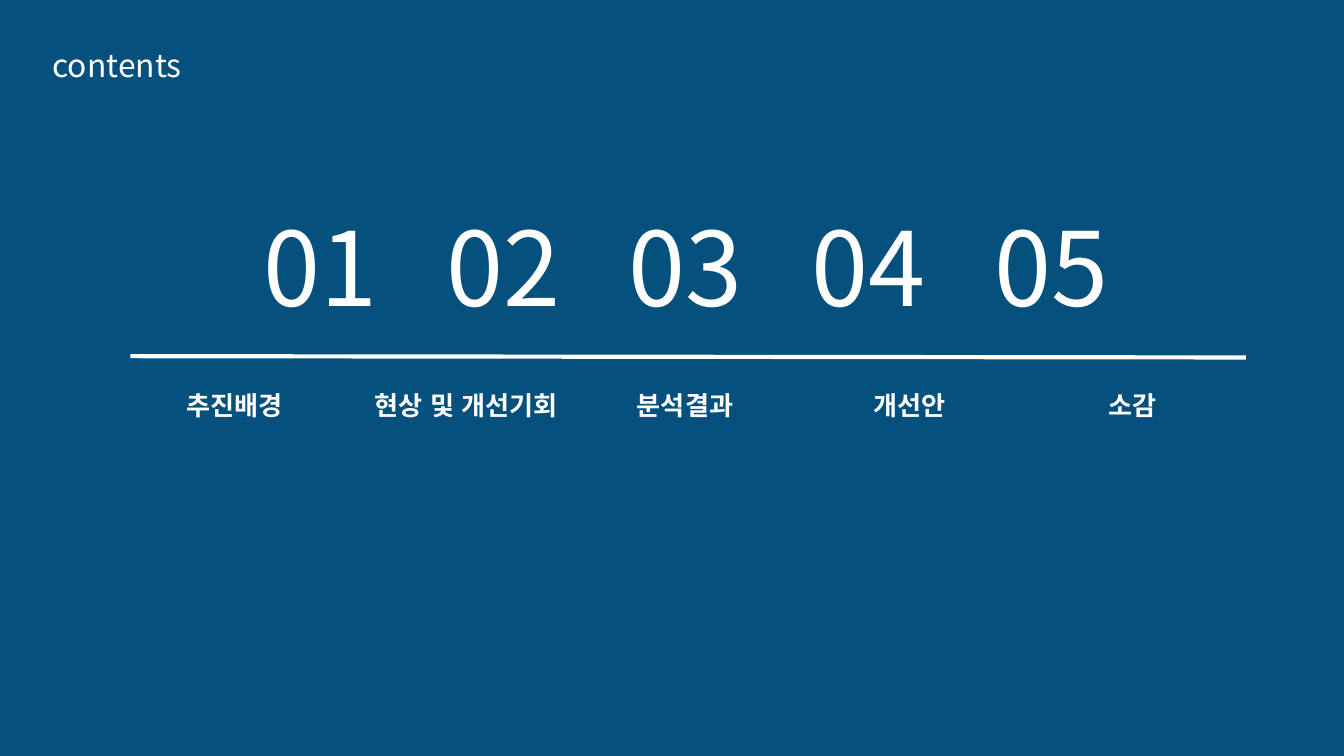
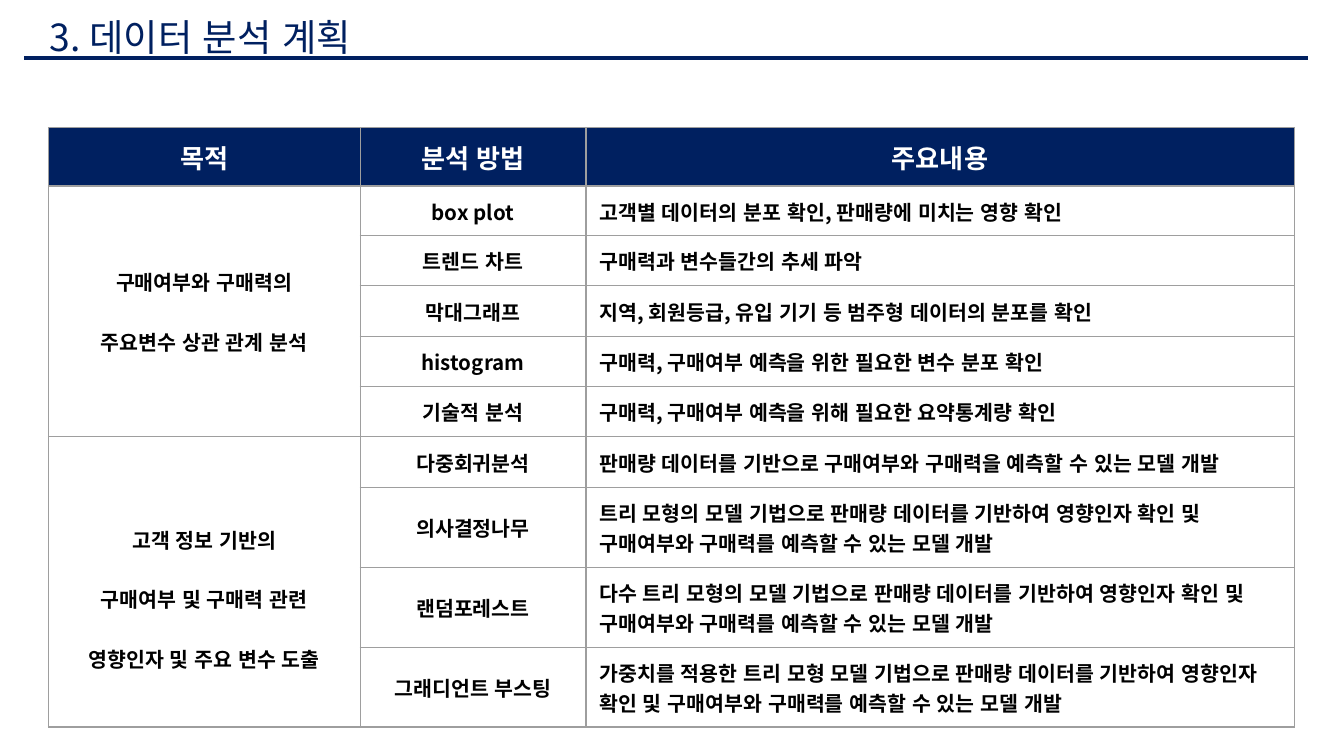
from lxml.etree import SubElement
from pptx import Presentation
from pptx.dml.color import RGBColor
from pptx.enum.lang import MSO_LANGUAGE_ID
from pptx.enum.shapes import MSO_CONNECTOR, MSO_SHAPE
from pptx.enum.text import MSO_ANCHOR, MSO_AUTO_SIZE, PP_ALIGN
from pptx.oxml.ns import qn
from pptx.util import Inches, Pt

FONT = "Noto Sans CJK KR"
COLORS = {
    "white": "FFFFFF",
    "black": "000000",
    "blue": "05507D",
    "navy": "002060",
    "grid": "9E9E9E",
}
TITLE_ONLY = 5

# left, width, text, alignment
SECTIONS = [
    (1.29, 1.04, "추진배경", PP_ALIGN.LEFT),
    (2.69, 1.73, "현상 및 개선기회", PP_ALIGN.LEFT),
    (4.64, 1.19, "분석결과", PP_ALIGN.LEFT),
    (6.4, 0.85, "개선안", PP_ALIGN.LEFT),
    (7.91, 1.04, "소감", PP_ALIGN.CENTER),
]
NUMBER_PITCH = 1.36

HEADERS = ["목적", "분석 방법", "주요내용"]
COLUMN_WIDTHS = [2.32, 1.68, 5.27]
ROW_HEIGHTS = [0.42, 0.36, 0.36, 0.38, 0.35, 0.35, 0.38, 0.36, 0.36, 0.36]
CELL_PADDING = Pt(5.4)
# purpose, extra space above it, methods with their description
PLAN = [
    ("구매여부와 구매력의\n주요변수 상관 관계 분석", 0, [
        ("box plot", "고객별 데이터의 분포 확인, 판매량에 미치는 영향 확인"),
        ("트렌드 차트", "구매력과 변수들간의 추세 파악"),
        ("막대그래프", "지역, 회원등급, 유입 기기 등 범주형 데이터의 분포를 확인"),
        ("histogram", "구매력, 구매여부 예측을 위한 필요한 변수 분포 확인"),
        ("기술적 분석", "구매력, 구매여부 예측을 위해 필요한 요약통계량 확인"),
    ]),
    ("고객 정보 기반의\n구매여부 및 구매력 관련\n영향인자 및 주요 변수 도출", 0.25, [
        ("다중회귀분석",
         "판매량 데이터를 기반으로 구매여부와 구매력을 예측할 수 있는 모델 개발"),
        ("의사결정나무",
         "트리 모형의 모델 기법으로 판매량 데이터를 기반하여 영향인자 확인 및 "
         "구매여부와 구매력를 예측할 수 있는 모델 개발"),
        ("랜덤포레스트",
         "다수 트리 모형의 모델 기법으로 판매량 데이터를 기반하여 영향인자 확인 및 "
         "구매여부와 구매력를 예측할 수 있는 모델 개발"),
        ("그래디언트 부스팅",
         "가중치를 적용한 트리 모형 모델 기법으로 판매량 데이터를 기반하여 영향인자 확인 및 "
         "구매여부와 구매력를 예측할 수 있는 모델 개발"),
    ]),
]


def rgb(name):
    return RGBColor.from_string(COLORS[name])


def write(text_frame, text, size, color, bold=False, align=PP_ALIGN.LEFT, gap=0):
    """Set the text; gap is the space in points between paragraphs."""
    text_frame.text = text
    for index, paragraph in enumerate(text_frame.paragraphs):
        paragraph.alignment = align
        if index and gap:
            paragraph.space_before = Pt(gap)
        for run in paragraph.runs:
            run.font.size = Pt(size)
            run.font.bold = bold
            run.font.name = FONT
            run.font.language_id = MSO_LANGUAGE_ID.KOREAN
            run.font.color.rgb = rgb(color)
            for script in ("ea", "cs"):
                SubElement(run.font._element, qn(f"a:{script}"), typeface=FONT)


def set_frame(text_frame, anchor=MSO_ANCHOR.TOP, vertical_inset=0.1):
    text_frame.word_wrap = True
    text_frame.auto_size = MSO_AUTO_SIZE.NONE
    text_frame.vertical_anchor = anchor
    text_frame.margin_left = text_frame.margin_right = Inches(0.1)
    text_frame.margin_top = text_frame.margin_bottom = Inches(vertical_inset)


def set_title(slide, box, text, size, color, **frame_options):
    title = slide.shapes.title
    title.left, title.top, title.width, title.height = map(Inches, box)
    set_frame(title.text_frame, **frame_options)
    write(title.text_frame, text, size, color)


def add_text(slide, box, text, size, **text_options):
    text_frame = slide.shapes.add_textbox(*map(Inches, box)).text_frame
    set_frame(text_frame)
    write(text_frame, text, size, "white", **text_options)
    return text_frame


def add_rule(slide, start, end, color):
    line = slide.shapes.add_connector(
        MSO_CONNECTOR.STRAIGHT, *map(Inches, start + end))
    line.line.color.rgb = rgb(color)
    line.line.width = Pt(2.25)
    SubElement(line.element.spPr, qn("a:effectLst"))


def add_backdrop(slide, width, height):
    """Cover the slide with blue, behind the title."""
    backdrop = slide.shapes.add_shape(MSO_SHAPE.RECTANGLE, 0, 0, width, height)
    backdrop.shadow.inherit = False
    backdrop.fill.solid()
    backdrop.fill.fore_color.rgb = rgb("blue")
    backdrop.line.fill.background()
    slide.shapes.title.element.addprevious(backdrop.element)


def add_numbers(slide):
    numbers = "\t".join(f"{number:02}" for number in range(1, len(SECTIONS) + 1))
    text_frame = add_text(slide, (1.08, 1.42, 8.05, 1.14), numbers, 55)
    text_frame.margin_left = Inches(0.88)
    properties = text_frame.paragraphs[0]._p.get_or_add_pPr()
    stops = SubElement(properties, qn("a:tabLst"))
    for index in range(1, len(SECTIONS)):
        SubElement(stops, qn("a:tab"), pos=str(Inches(NUMBER_PITCH * index)), algn="l")


def set_borders(cell):
    properties = cell._tc.get_or_add_tcPr()
    for index, side in enumerate(("lnL", "lnR", "lnT", "lnB")):
        line = properties.makeelement(qn(f"a:{side}"), {"w": str(Pt(0.75))})
        fill = SubElement(line, qn("a:solidFill"))
        SubElement(fill, qn("a:srgbClr"), val=COLORS["grid"])
        properties.insert(index, line)


def fill_cell(cell, text, size=11, color="black", align=PP_ALIGN.CENTER, extra_top=0):
    cell.margin_left = cell.margin_right = Inches(0.1)
    cell.margin_top = CELL_PADDING + Inches(extra_top)
    cell.margin_bottom = CELL_PADDING
    cell.vertical_anchor = MSO_ANCHOR.MIDDLE
    write(cell.text_frame, text, size, color, bold=True, align=align, gap=16)


def add_plan_table(slide):
    table = slide.shapes.add_table(
        len(ROW_HEIGHTS), len(HEADERS),
        *map(Inches, (0.36, 0.95, sum(COLUMN_WIDTHS), sum(ROW_HEIGHTS)))).table
    table.first_row = table.horz_banding = False
    for column, width in zip(table.columns, COLUMN_WIDTHS):
        column.width = Inches(width)
    for row, height in zip(table.rows, ROW_HEIGHTS):
        row.height = Inches(height)
    for cell in table.iter_cells():
        cell.fill.background()
        set_borders(cell)

    for column, header in enumerate(HEADERS):
        cell = table.cell(0, column)
        cell.fill.solid()
        cell.fill.fore_color.rgb = rgb("navy")
        fill_cell(cell, header, size=14, color="white")

    row = 1
    for purpose, extra_top, methods in PLAN:
        table.cell(row, 0).merge(table.cell(row + len(methods) - 1, 0))
        fill_cell(table.cell(row, 0), purpose, extra_top=extra_top)
        for method, description in methods:
            fill_cell(table.cell(row, 1), method)
            fill_cell(table.cell(row, 2), description, align=PP_ALIGN.LEFT)
            row += 1


def build_contents(presentation):
    slide = presentation.slides.add_slide(presentation.slide_layouts[TITLE_ONLY])
    add_backdrop(slide, presentation.slide_width, presentation.slide_height)
    set_title(slide, (0.29, 0.24, 1.19, 0.4), "contents", 17, "white")
    add_numbers(slide)
    add_rule(slide, (0.97, 2.65), (9.27, 2.66), "white")
    for left, width, text, align in SECTIONS:
        add_text(slide, (left, 2.8, width, 0.7), text, 14, bold=True, align=align)


def build_analysis_plan(presentation):
    slide = presentation.slides.add_slide(presentation.slide_layouts[TITLE_ONLY])
    set_title(slide, (0.27, 0.11, 7.85, 0.32), "3. 데이터 분석 계획", 20, "navy",
              anchor=MSO_ANCHOR.MIDDLE, vertical_inset=0.05)
    add_rule(slide, (0.18, 0.43), (9.73, 0.43), "navy")
    add_plan_table(slide)


def main():
    presentation = Presentation()
    presentation.slide_width = Inches(10)
    presentation.slide_height = presentation.slide_width * 9 // 16
    build_contents(presentation)
    build_analysis_plan(presentation)
    presentation.save("out.pptx")


if __name__ == "__main__":
    main()
